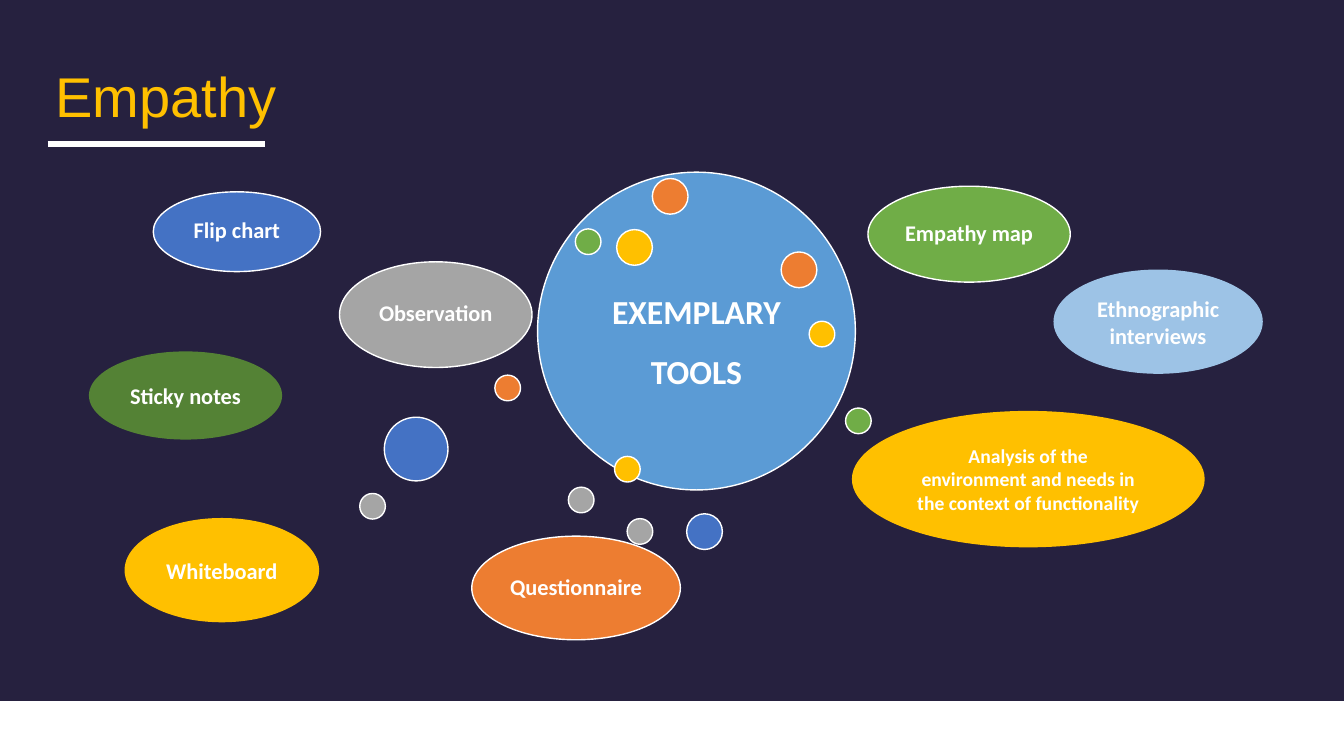
from pptx import Presentation
from pptx.dml.color import RGBColor
from pptx.enum.shapes import MSO_CONNECTOR, MSO_SHAPE
from pptx.enum.text import MSO_ANCHOR, PP_ALIGN
from pptx.oxml.ns import qn
from pptx.util import Pt

WHITE, NAVY, GOLD = "FFFFFF", "26213F", "FFC000"
BLUE, SKY, PALE = "4472C4", "5B9BD5", "9DC3E6"
GREEN, FOREST, ORANGE, GRAY = "70AD47", "548235", "ED7D31", "A5A5A5"
SMALL, MEDIUM, LARGE = 18.3, 25.5, 45.5

OUTLINED_LABELS = [
    ("Flip chart", 45.5, 14, 119.5, 57, BLUE),
    ("Observation", 178.5, 64, 137.5, 75.5, GRAY),
    ("Empathy map", 556, 10, 144.5, 68.5, GREEN),
    ("Questionnaire", 273, 260, 149, 74, ORANGE),
]
PLAIN_LABELS = [
    ("Sticky notes", 0, 128.5, 137, 62, FOREST, 16),
    ("Analysis of the environment and needs in the context of functionality",
     545, 171, 251, 96.5, GOLD, 14),
    ("Whiteboard", 25.5, 247.5, 138, 73.5, GOLD, 16),
    ("Ethnographic interviews", 689, 70, 148.5, 73.5, PALE, 16),
]
DOTS = [
    (402, 4.5, MEDIUM, ORANGE),
    (342, 225, SMALL, GRAY),
    (514, 106.5, SMALL, GOLD),
    (426.5, 244, MEDIUM, BLUE),
    (347, 40.5, SMALL, GREEN),
    (289.5, 145, SMALL, ORANGE),
    (376.5, 41, MEDIUM, GOLD),
    (210.5, 175, LARGE, BLUE),
    (494, 57, MEDIUM, ORANGE),
    (193, 229.5, SMALL, GRAY),
    (375, 203, SMALL, GOLD),
    (540, 168.5, SMALL, GREEN),
    (384, 247.5, SMALL, GRAY),
]


def rgb(value):
    return RGBColor.from_string(value)


def add_filled(slide, kind, x, y, w, h, fill, line):
    sp = slide.shapes.add_shape(kind, Pt(x), Pt(y), Pt(w), Pt(h))
    sp.shadow.inherit = False
    sp.fill.solid()
    sp.fill.fore_color.rgb = rgb(fill)
    sp.line.color.rgb = rgb(line)
    sp.line.width = Pt(1)
    return sp


def add_ellipse(slide, x, y, w, h, fill, line=WHITE):
    return add_filled(slide, MSO_SHAPE.OVAL, x, y, w, h, fill, line)


def style_run(r, font, size, color, bold=False):
    r.font.name = font
    r.font.size = Pt(size)
    r.font.bold = bold
    r.font.color.rgb = rgb(color)


def write_label(sp, text, size, inset, spacing=1.0):
    tf = sp.text_frame
    tf.word_wrap = True
    tf.vertical_anchor = MSO_ANCHOR.MIDDLE
    tf.margin_left = tf.margin_right = Pt(inset)
    tf.margin_top = tf.margin_bottom = Pt(inset / 2)
    p = tf.paragraphs[0]
    p.text = text
    p.alignment = PP_ALIGN.CENTER
    p.line_spacing = spacing
    style_run(p.runs[0], "Calibri", size, WHITE, True)


def add_panel(slide, x, y, w, h):
    add_filled(slide, MSO_SHAPE.RECTANGLE, x, y, w, h, NAVY, NAVY)


def add_title(slide, x, y, w, h):
    tf = slide.shapes.add_textbox(Pt(x), Pt(y), Pt(w), Pt(h)).text_frame
    tf.word_wrap = True
    p = tf.paragraphs[0]
    p.text = "Empathy"
    style_run(p.runs[0], "Arial", 40, GOLD)

    left, rule_y = x + 1.5, y + 62.5
    rule = slide.shapes.add_connector(
        MSO_CONNECTOR.STRAIGHT, Pt(left), Pt(rule_y), Pt(left + 155), Pt(rule_y))
    rule.line.color.rgb = rgb(WHITE)
    rule.line.width = Pt(4)
    sp_pr = rule._element.spPr
    sp_pr.append(sp_pr.makeelement(qn("a:effectLst"), {}))


def add_tools(slide, x, y):
    hub = add_ellipse(slide, x + 320, y, 227, 227, SKY)
    write_label(hub, "EXEMPLARY TOOLS", 24, 7.2, 1.5)

    for text, dx, dy, w, h, fill in OUTLINED_LABELS:
        sp = add_ellipse(slide, x + dx, y + dy, w, h, fill)
        write_label(sp, text, 16, 5, 0.9)

    for dx, dy, size, fill in DOTS:
        add_ellipse(slide, x + dx, y + dy, size, size, fill)

    for text, dx, dy, w, h, fill, size in PLAIN_LABELS:
        sp = add_ellipse(slide, x + dx, y + dy, w, h, fill, fill)
        write_label(sp, text, size, 8)


def main():
    prs = Presentation()
    prs.slide_width, prs.slide_height = Pt(960), Pt(540)
    slide = prs.slides.add_slide(prs.slide_layouts[6])
    add_panel(slide, 0, 0, 960, 500.5)
    add_title(slide, 32.5, 40.5, 913.5, 55.5)
    add_tools(slide, 64, 123)
    prs.save("out.pptx")


if __name__ == "__main__":
    main()
